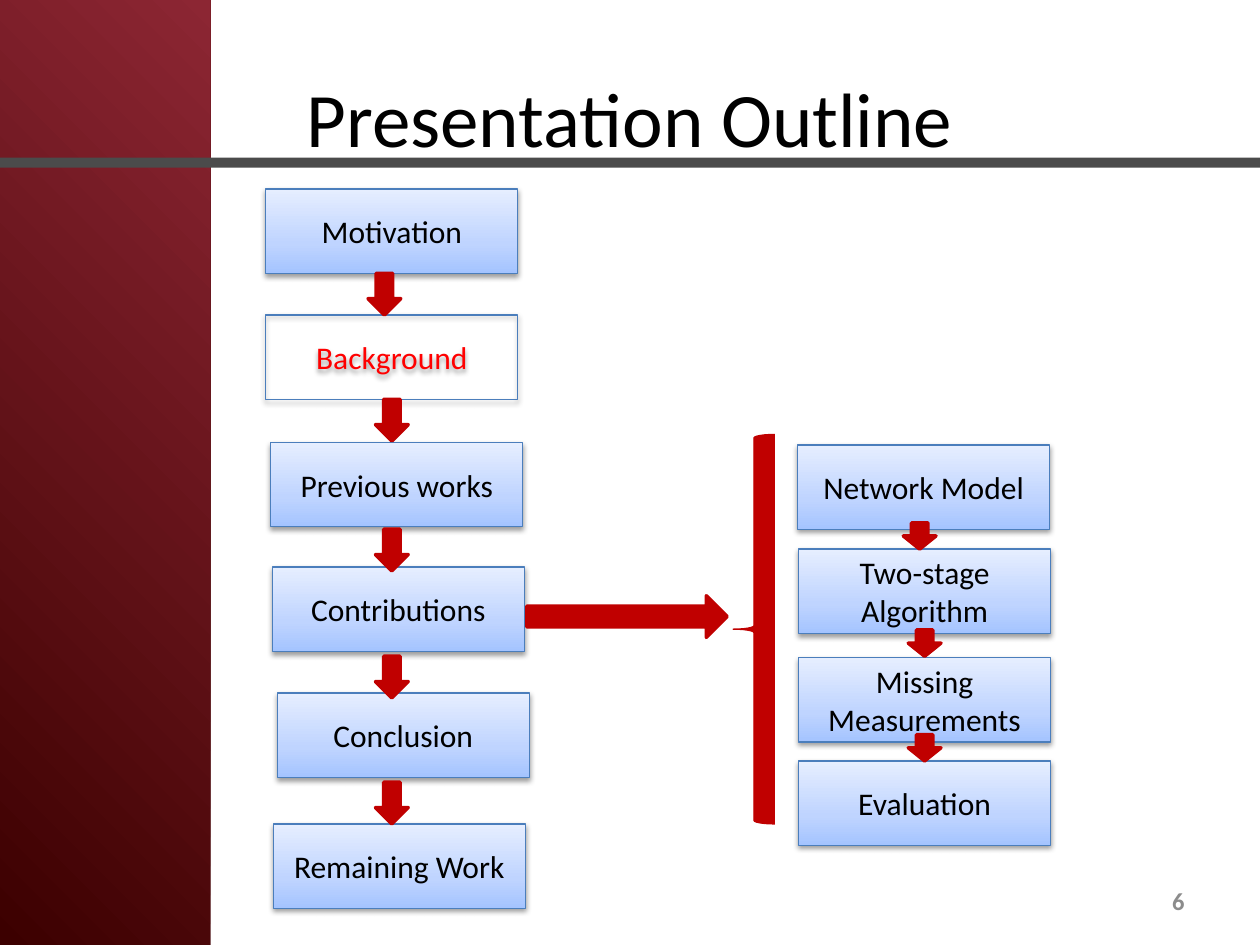
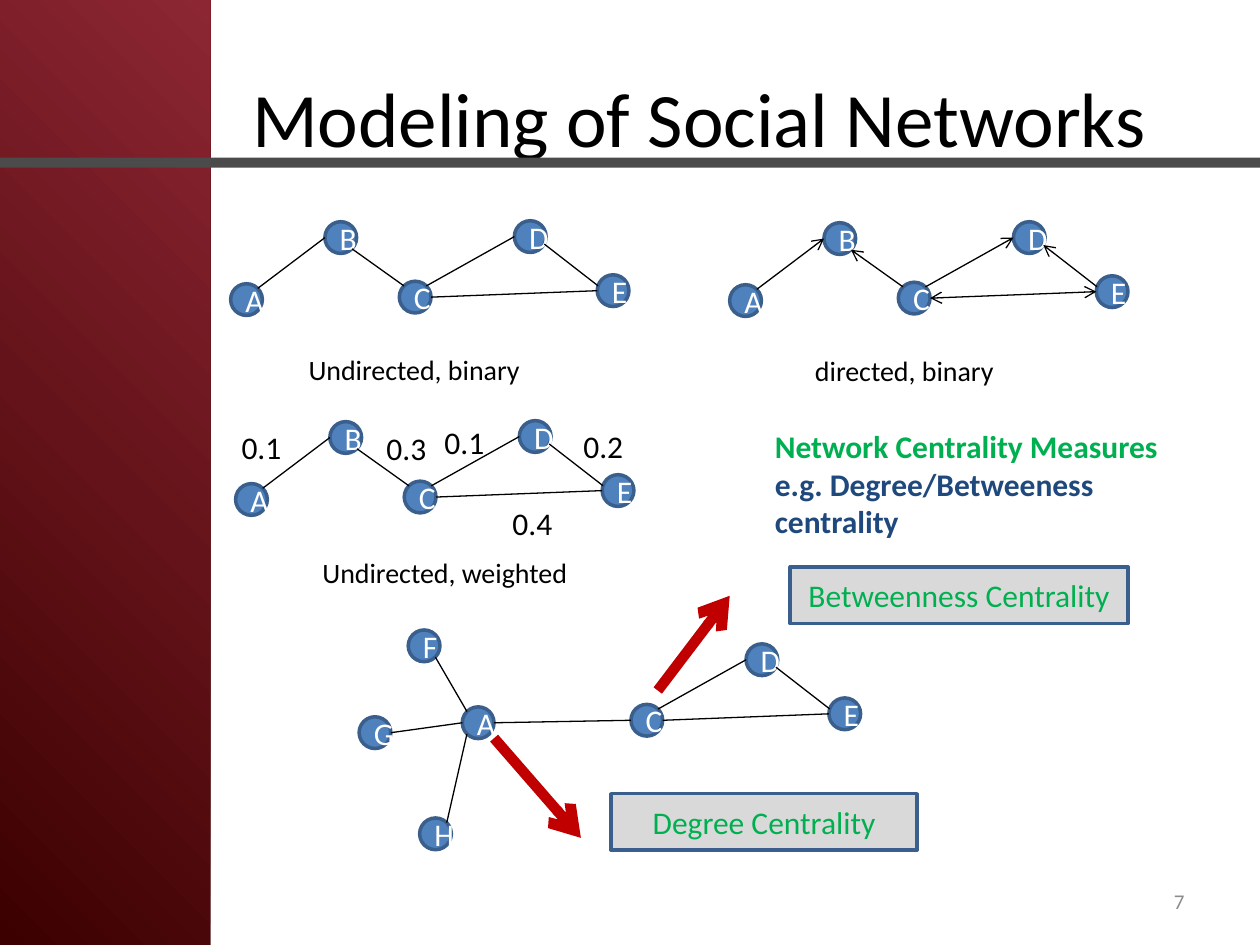
from copy import deepcopy
from math import cos, radians, sin

from lxml.etree import SubElement
from pptx import Presentation
from pptx.dml.color import RGBColor
from pptx.enum.shapes import MSO_CONNECTOR, MSO_SHAPE
from pptx.enum.text import MSO_ANCHOR, MSO_AUTO_SIZE, PP_ALIGN
from pptx.oxml.ns import qn
from pptx.util import Cm, Pt

BLACK = "000000"
RED = "C00000"
GREEN = "00B050"
GREY = "8C8C8C"
NODE_EDGE = "3A5F8C"
BOX_STOPS = [(0, "A4C4FF"), (0.35, "BFD4FF"), (1, "E6EEFF")]


def rgb(hex_colour):
    return RGBColor.from_string(hex_colour)


def write(shape, text, size=18, colour=BLACK, bold=False, align=PP_ALIGN.CENTER,
          anchor=MSO_ANCHOR.MIDDLE, wrap=True, grow=False):
    """Add one paragraph to the shape, filling the first one if it is empty."""
    frame = shape.text_frame
    frame.word_wrap = wrap
    frame.vertical_anchor = anchor
    frame.auto_size = MSO_AUTO_SIZE.SHAPE_TO_FIT_TEXT if grow else MSO_AUTO_SIZE.NONE
    paragraph = frame.add_paragraph() if frame.text else frame.paragraphs[0]
    paragraph.alignment = align
    run = paragraph.add_run()
    run.text = text
    run.font.name = "Calibri"
    run.font.size = Pt(size)
    run.font.bold = bold
    run.font.color.rgb = rgb(colour)


LABEL = dict(align=PP_ALIGN.LEFT, anchor=MSO_ANCHOR.TOP, grow=True)

deck = Presentation()
deck.slide_width, deck.slide_height = Cm(25.4), Cm(19.05)
blank = deck.slide_layouts[6]

# Shared frame: title, side panel, band, page number
pages = []
for heading, left_inset, number, number_size, number_bold in [
    ("Presentation Outline", 0.25, "6", 14, True),
    ("Modeling of Social Networks", 3.05, "7", 12, False),
]:
    page = deck.slides.add_slide(blank)
    pages.append(page.shapes)

    title = page.shapes.add_textbox(Cm(1.27), Cm(0.76), Cm(22.86), Cm(3.18))
    title.text_frame.margin_left = Cm(left_inset)
    write(title, heading, size=44)

    panel = page.shapes.add_shape(MSO_SHAPE.RECTANGLE, 0, 0, Cm(4.24), Cm(19.05))
    panel.fill.gradient()
    panel.fill.gradient_angle = 45
    for stop, colour in zip(panel.fill.gradient_stops, ["3C0000", "8C2633"]):
        stop.color.rgb = rgb(colour)

    band = page.shapes.add_shape(MSO_SHAPE.RECTANGLE, 0, Cm(3.18), Cm(25.4), Cm(0.2))
    band.fill.solid()
    band.fill.fore_color.rgb = rgb("4B4B4B")

    for part in (panel, band):
        part.line.fill.background()
        part.shadow.inherit = False

    page_number = page.shapes.add_textbox(Cm(18.21), Cm(17.65), Cm(5.92), Cm(1.02))
    write(page_number, number, size=number_size, colour=GREY, bold=number_bold,
          align=PP_ALIGN.RIGHT)

outline, networks = pages

# Outline: topics on the left, contributions on the right
for topic, left, top in [
    ("Motivation", 5.36, 3.81),
    ("Background", 5.36, 6.35),
    ("Previous works", 5.46, 8.92),
    ("Contributions", 5.49, 11.43),
    ("Conclusion", 5.59, 13.97),
    ("Remaining Work", 5.51, 16.61),
    ("Network Model", 16.08, 8.97),
    ("Two-stage Algorithm", 16.1, 11.07),
    ("Missing Measurements", 16.1, 13.26),
    ("Evaluation", 16.1, 15.34),
]:
    current = topic == "Background"
    box = outline.add_shape(MSO_SHAPE.RECTANGLE, Cm(left), Cm(top), Cm(5.08), Cm(1.7))
    if current:
        box.fill.background()
    else:
        box.fill.gradient()
        box.fill.gradient_angle = 90
        stop_list = box.element.spPr.find(qn("a:gradFill")).find(qn("a:gsLst"))
        stop_list.insert(1, deepcopy(stop_list[0]))
        for stop, (position, colour) in zip(box.fill.gradient_stops, BOX_STOPS):
            stop.position = position
            stop.color.rgb = rgb(colour)
    box.line.color.rgb = rgb("4B7EBC")
    box.line.width = Pt(0.75)
    box.shadow.inherit = False
    shadow = SubElement(box.element.spPr.find(qn("a:effectLst")), qn("a:outerShdw"),
                        blurRad=str(Pt(3.1)), dist=str(Pt(1.6)), dir="5400000",
                        rotWithShape="0")
    tint = SubElement(shadow, qn("a:srgbClr"), val=BLACK)
    SubElement(tint, qn("a:alpha"), val="38000")
    write(box, topic, colour="FF0000" if current else BLACK)

# Outline: block arrows and brace
steps = [(7.42, 5.51)] + [(7.57, top) for top in (8.05, 10.67, 13.23, 15.77)]
substeps = [(18.21, 10.54), (18.31, 12.7), (18.31, 14.81)]
markers = [(MSO_SHAPE.DOWN_ARROW, left, top, 0.66, 0.84, 2) for left, top in steps]
markers += [(MSO_SHAPE.DOWN_ARROW, left, top, 0.66, 0.53, 2) for left, top in substeps]
markers += [
    (MSO_SHAPE.RIGHT_ARROW, 10.62, 12.01, 4.04, 0.84, 2),
    (MSO_SHAPE.LEFT_BRACE, 14.78, 8.76, 0.84, 7.85, 0.75),
]
for kind, left, top, width, height, outline_width in markers:
    marker = outline.add_shape(kind, Cm(left), Cm(top), Cm(width), Cm(height))
    marker.fill.solid()
    marker.fill.fore_color.rgb = rgb(RED)
    marker.line.color.rgb = rgb(RED)
    marker.line.width = Pt(outline_width)
    marker.shadow.inherit = False

# Networks: node places relative to node A
NODE = 0.64
OFFSETS = {
    "A": (0, 0), "B": (1.9, -1.25), "C": (3.4, -0.05), "D": (5.72, -1.27),
    "E": (7.39, -0.18), "F": (-1.09, -1.55), "G": (-2.08, 0.2), "H": (-0.86, 2.24),
}
# Edges: node and angle on its rim at both ends, then the arrowheads if directed
TRIANGLE = [
    ("C", 45, "D", 180, ["tailEnd"]),
    ("C", 0, "E", 180, ["headEnd", "tailEnd"]),
    ("D", 332, "E", 162, ["headEnd"]),
]
CHAIN = [("A", 45, "B", 180, ["tailEnd"]), ("B", 315, "C", 135, ["headEnd"])] + TRIANGLE
HUB = TRIANGLE + [
    ("A", 0, "C", 180, []),
    ("A", 135, "F", 315, []),
    ("G", 0, "A", 180, []),
    ("H", 45, "A", 225, []),
]

# Networks: nodes of the four graphs; their edges are gathered as lines
lines = []
for left, top, names, edges, directed in [
    (4.65, 5.72, "ABCDE", CHAIN, False),
    (4.75, 9.75, "ABCDE", CHAIN, False),
    (14.71, 5.74, "ABCDE", CHAIN, True),
    (9.32, 14.25, "ACDEFGH", HUB, False),
]:
    for name in names:
        dx, dy = OFFSETS[name]
        node = networks.add_shape(MSO_SHAPE.OVAL, Cm(left + dx), Cm(top + dy),
                                  Cm(NODE), Cm(NODE))
        node.fill.solid()
        node.fill.fore_color.rgb = rgb("4F81BD")
        node.line.color.rgb = rgb(NODE_EDGE)
        node.line.width = Pt(2)
        node.shadow.inherit = False
        write(node, name, colour="FFFFFF")
    for start, start_angle, end, end_angle, heads in edges:
        points = []
        for name, angle in ((start, start_angle), (end, end_angle)):
            dx, dy = OFFSETS[name]
            points += [left + dx + NODE / 2 * (1 + cos(radians(angle))),
                       top + dy + NODE / 2 * (1 - sin(radians(angle)))]
        lines.append((points, BLACK, 0.75, heads if directed else []))

# Networks: edges and the two red pointers
lines += [
    ([9.96, 14.88, 11.71, 16.89], RED, 6, ["tailEnd"]),
    ([13.26, 13.92, 14.71, 12.01], RED, 6, ["tailEnd"]),
]
for points, colour, width, heads in lines:
    edge = networks.add_connector(MSO_CONNECTOR.STRAIGHT, *[Cm(p) for p in points])
    edge.line.color.rgb = rgb(colour)
    edge.line.width = Pt(width)
    properties = edge.element.spPr
    for head in heads:
        SubElement(properties.find(qn("a:ln")), qn("a:" + head), type="arrow")
    SubElement(properties, qn("a:effectLst"))

# Networks: edge weights
for weight, left, top in [
    ("0.1", 4.62, 8.51), ("0.3", 7.54, 8.53), ("0.1", 8.71, 8.41),
    ("0.2", 11.51, 8.48), ("0.4", 10.08, 10.03),
]:
    weight_label = networks.add_textbox(Cm(left), Cm(top), Cm(1.37), Cm(1.02))
    write(weight_label, weight, wrap=False, **LABEL)

# Networks: graph captions
for caption, left, top, width in [
    ("Undirected, binary", 5.97, 6.99, 5.05),
    ("directed, binary", 16.18, 7.01, 5.05),
    ("Undirected, weighted", 6.25, 11.07, 5.82),
]:
    graph_caption = networks.add_textbox(Cm(left), Cm(top), Cm(width), Cm(0.94))
    write(graph_caption, caption, size=16, **LABEL)

# Networks: centrality measures
measures = networks.add_textbox(Cm(15.37), Cm(8.48), Cm(8.33), Cm(2.57))
write(measures, "Network Centrality Measures", colour=GREEN, bold=True, **LABEL)
write(measures, "e.g. Degree/Betweeness centrality", colour="1F497D", bold=True, **LABEL)

for measure, left, top, width in [
    ("Degree Centrality", 12.32, 16, 6.17),
    ("Betweenness Centrality", 15.93, 11.43, 6.81),
]:
    callout = networks.add_shape(MSO_SHAPE.RECTANGLE, Cm(left), Cm(top), Cm(width), Cm(1.14))
    callout.fill.solid()
    callout.fill.fore_color.rgb = rgb("D9D9D9")
    callout.line.color.rgb = rgb(NODE_EDGE)
    callout.line.width = Pt(2)
    callout.shadow.inherit = False
    write(callout, measure, colour=GREEN)

deck.save("out.pptx")
